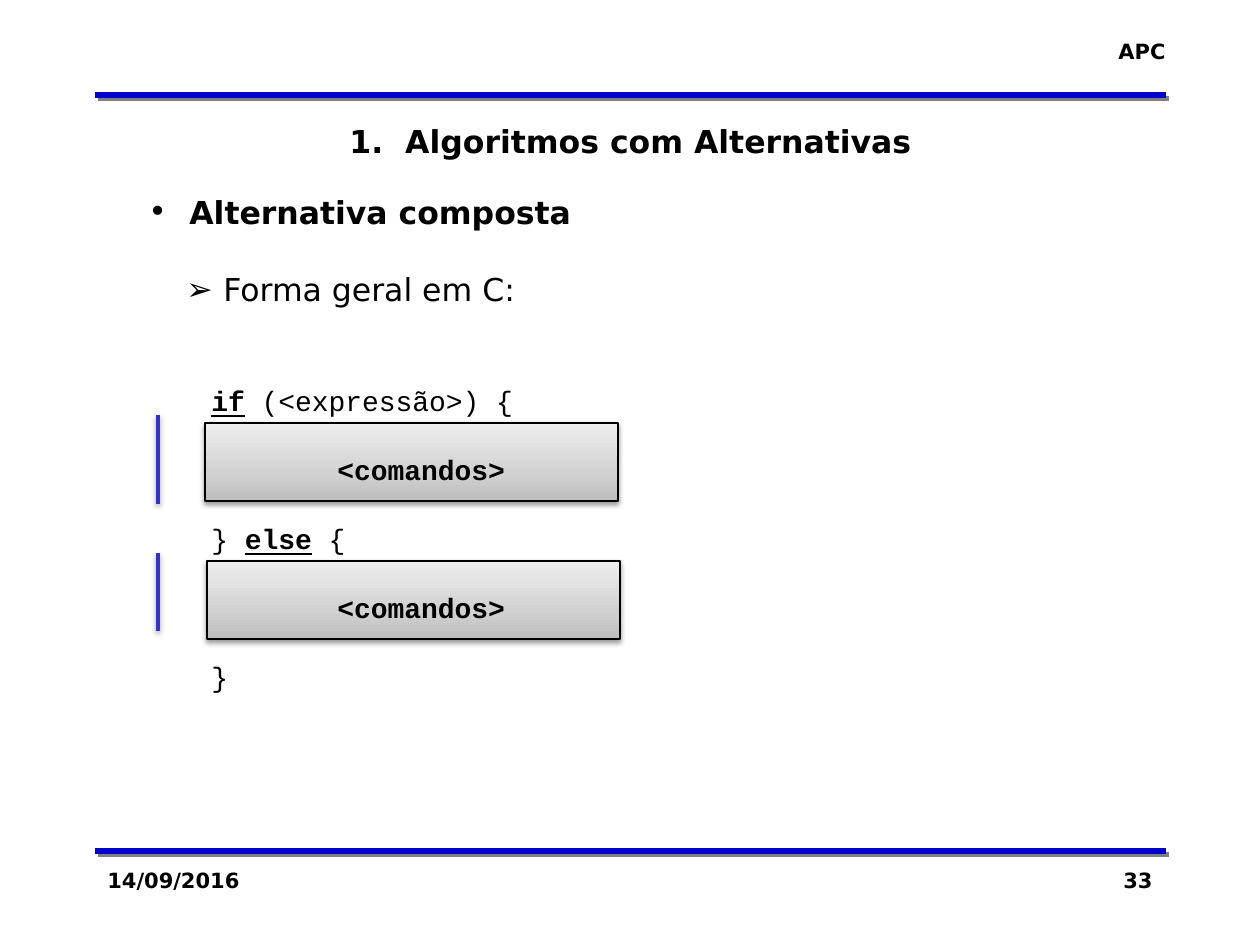
from copy import deepcopy
from dataclasses import dataclass

from lxml.etree import SubElement
from pptx import Presentation
from pptx.dml.color import RGBColor
from pptx.enum.shapes import MSO_CONNECTOR, MSO_SHAPE
from pptx.enum.text import MSO_ANCHOR, PP_ALIGN
from pptx.oxml.ns import qn
from pptx.util import Emu, Pt

SANS = "DejaVu Sans"
CODE = "Courier New"


@dataclass
class Run:
    text: str
    font: str = CODE
    size: int = 16
    bold: bool = False
    under: bool = False


@dataclass
class Para:
    runs: list[Run]
    left: int = 63
    hang: int = 0
    gap: float = 20.3
    mark: str = ""


@dataclass
class Shade:
    tone: str
    alpha: int
    blur: float
    dist: float
    angle: int


@dataclass
class Rule:
    start: tuple[int, int]
    end: tuple[int, int]
    tone: str
    width: int
    shade: Shade


@dataclass
class Label:
    text: str
    box: tuple[int, int, int, int]
    align: PP_ALIGN
    wrap: bool = True


HARD = Shade("808080", 100, 0, 2.8, 45)
SOFT = Shade("000000", 38, 3.1, 1.6, 90)
RULES = [Rule((95, y), (1166, y), "0000CC", 3, HARD) for y in (851, 95)]
BARS = [
    Rule((158, top), (158, end), "3333CC", 2, SOFT)
    for top, end in ((415, 504), (553, 631))
]
BLOCKS = [(207, 561, 413, 78), (205, 423, 413, 78)]
STOPS = [(0, "BDBDBD"), (0.35, "D1D1D1"), (1, "EEEEEE")]
LABELS = [
    Label("APC", (1105, 32, 73, 38), PP_ALIGN.RIGHT, False),
    Label("14/09/2016", (95, 861, 262, 63), PP_ALIGN.LEFT),
    Label("33", (903, 861, 262, 63), PP_ALIGN.RIGHT),
]
BLOCK = Para([Run("<comandos>", bold=True)], left=189)
BODY = [
    Para([Run("Alternativa composta", SANS, 18, True)], 41, 41, 0, "•"),
    Para([Run("Forma geral em C:", SANS, 18)], 75, 37, 22.5, "➢"),
    Para([Run("if", bold=True, under=True), Run(" (<expressão>) {")], gap=43),
    BLOCK,
    Para([Run("} "), Run("else", bold=True, under=True), Run(" {")]),
    BLOCK,
    Para([Run("}")]),
]


def px(value: int) -> Emu:
    return Emu(round(value * 914400 / 126))


def hue(code: str) -> RGBColor:
    return RGBColor.from_string(code)


def write(para, text: str, *, font: str = SANS, size: int = 12,
          bold: bool = True, under: bool = False) -> None:
    run = para.add_run()
    run.text = text
    run.font.name = font
    run.font.size = Pt(size)
    run.font.bold = bold
    run.font.underline = under
    run.font.color.rgb = hue("000000")


def cast(item, shade: Shade) -> None:
    props = item._element.spPr
    for old in props.findall(qn("a:effectLst")):
        props.remove(old)
    drop = SubElement(
        SubElement(props, qn("a:effectLst")), qn("a:outerShdw"),
        blurRad=str(Pt(shade.blur)), dist=str(Pt(shade.dist)),
        dir=str(shade.angle * 60000), rotWithShape="0",
    )
    tone = SubElement(drop, qn("a:srgbClr"), val=shade.tone)
    SubElement(tone, qn("a:alpha"), val=str(shade.alpha * 1000))


def draw_rule(slide, rule: Rule) -> None:
    line = slide.shapes.add_connector(
        MSO_CONNECTOR.STRAIGHT, *map(px, rule.start + rule.end)
    )
    line.line.color.rgb = hue(rule.tone)
    line.line.width = Pt(rule.width)
    cast(line, rule.shade)


def draw_block(slide, box: tuple[int, int, int, int]) -> None:
    rect = slide.shapes.add_shape(MSO_SHAPE.RECTANGLE, *map(px, box))
    rect.shadow.inherit = False
    rect.fill.gradient()
    rect.fill.gradient_angle = 90
    stops = rect._element.spPr.find(qn("a:gradFill")).find(qn("a:gsLst"))
    stops.insert(1, deepcopy(stops[0]))
    for stop, (place, tone) in zip(rect.fill.gradient_stops, STOPS):
        stop.position = place
        stop.color.rgb = hue(tone)
    rect.line.color.rgb = hue("000000")
    rect.line.width = Pt(0.75)
    cast(rect, SOFT)


def draw_label(slide, label: Label) -> None:
    frame = slide.shapes.add_textbox(*map(px, label.box)).text_frame
    frame.word_wrap = label.wrap
    para = frame.paragraphs[0]
    para.alignment = label.align
    write(para, label.text)


def draw_body(slide, paras: list[Para]) -> None:
    frame = slide.shapes.add_textbox(*map(px, (136, 187, 995, 505))).text_frame
    frame.word_wrap = True
    for num, part in enumerate(paras):
        para = frame.add_paragraph() if num else frame.paragraphs[0]
        para.alignment = PP_ALIGN.JUSTIFY
        if part.gap:
            para.space_before = Pt(part.gap)
        props = para._p.get_or_add_pPr()
        props.set("marL", str(px(part.left)))
        props.set("indent", str(px(-part.hang)))
        if part.mark:
            SubElement(props, qn("a:buFont"), typeface=SANS)
            SubElement(props, qn("a:buChar"), char=part.mark)
        for run in part.runs:
            write(para, run.text, font=run.font, size=run.size,
                  bold=run.bold, under=run.under)


def draw_title(slide, text: str) -> None:
    title = slide.shapes.title
    title.left, title.top, title.width, title.height = map(
        px, (95, 116, 1071, 50)
    )
    frame = title.text_frame
    frame.word_wrap = True
    frame.vertical_anchor = MSO_ANCHOR.MIDDLE
    para = frame.paragraphs[0]
    para.alignment = PP_ALIGN.CENTER
    write(para, text, size=18)


def main() -> None:
    deck = Presentation()
    deck.slide_width, deck.slide_height = px(1260), px(945)
    slide = deck.slides.add_slide(deck.slide_layouts[5])
    draw_title(slide, "1.  Algoritmos com Alternativas")
    for rule in RULES:
        draw_rule(slide, rule)
    for box in BLOCKS:
        draw_block(slide, box)
    draw_body(slide, BODY)
    for label in LABELS:
        draw_label(slide, label)
    for bar in BARS:
        draw_rule(slide, bar)
    deck.save("out.pptx")


if __name__ == "__main__":
    main()
